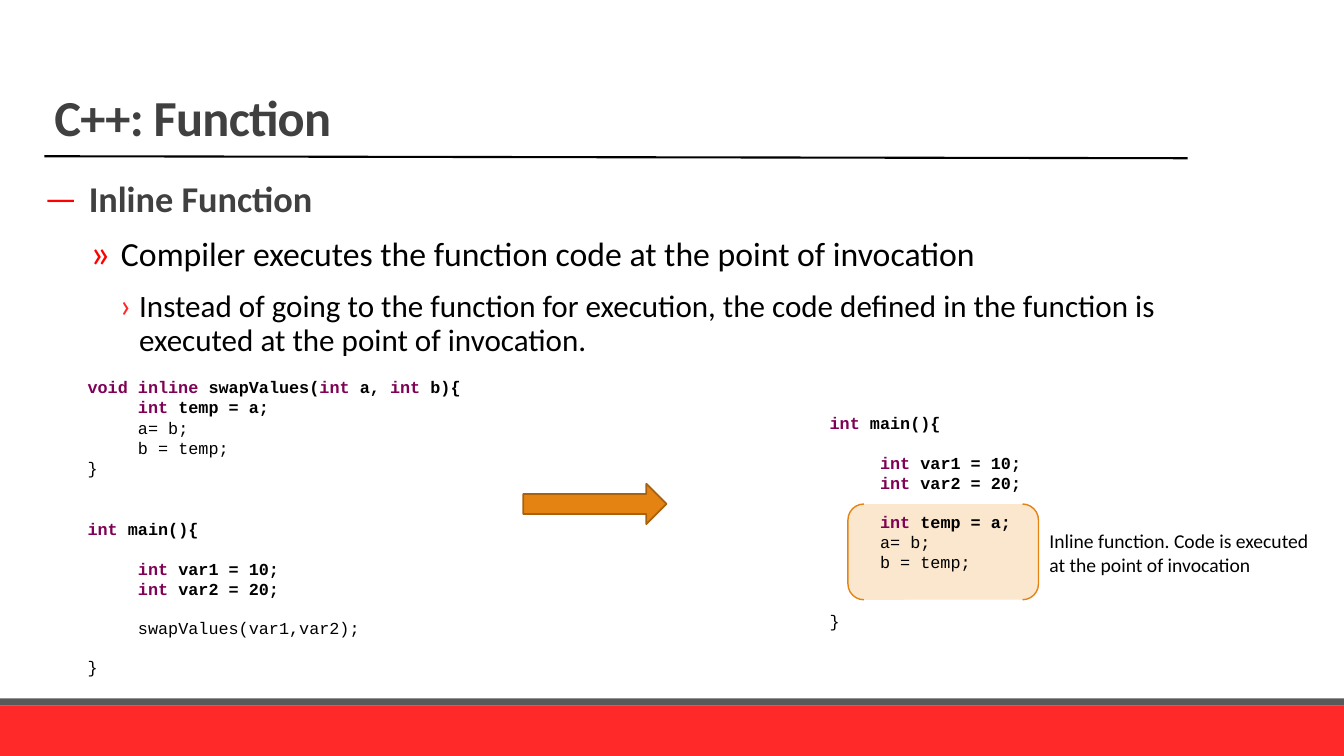
import pptx
import pptx.util
import pptx.dml.color
import pptx.enum.shapes
import pptx.enum.text
import pptx.oxml
import pptx.oxml.ns
from lxml import etree

Inches = pptx.util.Inches
Pt = pptx.util.Pt
RGBColor = pptx.dml.color.RGBColor
SHAPE = pptx.enum.shapes.MSO_SHAPE
ANCHOR = pptx.enum.text.MSO_ANCHOR
ALIGN = pptx.enum.text.PP_ALIGN
AUTO_SIZE = pptx.enum.text.MSO_AUTO_SIZE
qn = pptx.oxml.ns.qn

BLACK = RGBColor(0x00, 0x00, 0x00)
HEADING = RGBColor(0x40, 0x40, 0x40)
FOOTER_RED = RGBColor(0xFF, 0x29, 0x29)
FOOTER_GRAY = RGBColor(0x59, 0x59, 0x59)
BULLET_RED = RGBColor(0xFF, 0x00, 0x00)
KEYWORD = RGBColor(0x7F, 0x00, 0x55)
ORANGE = RGBColor(0xE4, 0x83, 0x12)
DARK_ORANGE = RGBColor(0xA9, 0x61, 0x0D)
PALE_ORANGE = RGBColor(0xFB, 0xE6, 0xCE)

CODE_LINE = Pt(13.6)  # height of one line of 12 pt code

# Text, margin, hanging indent, size, colour, bold, bullet, bullet colour, bullet percent
POINTS = [
    ("Inline Function", 0.44, 0.44, 25.9, HEADING, True, "—", BULLET_RED, 100),
    ("Compiler executes the function code at the point of invocation",
     0.76, 0.31, 24.1, BLACK, False, "»", BULLET_RED, 120),
    ("Instead of going to the function for execution, the code defined in the "
     "function is executed at the point of invocation.",
     0.94, 0.19, 22.2, BLACK, False, "›", FOOTER_RED, 110),
]

# Each code line: blank lines above it, then text with keywords between bars
SWAP_BODY = ["|int| temp = a;", "a= b;", "b = temp;"]
MAIN_START = [(0, "|int| main(){"), (1, "|int| var1 = 10;"), (0, "|int| var2 = 20;")]
SWAP_CODE = [(0, "|void inline |swapValues(|int| a, |int| b){"),
             *((0, line) for line in SWAP_BODY), (0, "}")]
CALLING_CODE = MAIN_START + [(1, "swapValues(var1,var2);"), (1, "}")]
EXPANDED_CODE = MAIN_START + [(1, SWAP_BODY[0]), (0, SWAP_BODY[1]),
                              (0, SWAP_BODY[2]), (2, "}")]


def add_run(paragraph, text, size, color, bold=False, font="Calibri"):
    run = paragraph.add_run()
    run.text = text
    run.font.name = font
    run.font.size = Pt(size)
    run.font.bold = bold
    run.font.color.rgb = color
    return run


def place(item, left, top, width, height):
    item.left, item.top = Inches(left), Inches(top)
    item.width, item.height = Inches(width), Inches(height)


def next_paragraph(frame, index):
    return frame.add_paragraph() if index else frame.paragraphs[0]


def add_block(slide, kind, box, fill, line=None, line_width=1):
    block = slide.shapes.add_shape(kind, *(Inches(length) for length in box))
    block.shadow.inherit = False
    block.fill.solid()
    block.fill.fore_color.rgb = fill
    if line is None:
        block.line.fill.background()
    else:
        block.line.color.rgb = line
        block.line.width = Pt(line_width)


def add_rule(slide, x1, y1, x2, y2):
    rule = slide.shapes.add_connector(
        pptx.enum.shapes.MSO_CONNECTOR.STRAIGHT,
        Inches(x1), Inches(y1), Inches(x2), Inches(y2))
    rule.line.color.rgb = BLACK
    rule.line.width = Pt(1.5)
    etree.SubElement(rule._element.spPr, qn("a:effectLst"))


def set_bullet(paragraph, margin, hanging, char, color, percent):
    properties = paragraph._p.get_or_add_pPr()
    properties.set("marL", str(Inches(margin)))
    properties.set("indent", str(-Inches(hanging)))
    bullet_color = etree.SubElement(properties, qn("a:buClr"))
    etree.SubElement(bullet_color, qn("a:srgbClr"), val=str(color))
    etree.SubElement(properties, qn("a:buSzPct"), val=str(percent * 1000))
    etree.SubElement(properties, qn("a:buFont"), typeface="Calibri")
    etree.SubElement(properties, qn("a:buChar"), char=char)


def fill_title(title):
    place(title, 0.44, 0, 11.33, 1.51)
    frame = title.text_frame
    frame.auto_size = AUTO_SIZE.NONE
    frame.vertical_anchor = ANCHOR.BOTTOM
    heading = frame.paragraphs[0]
    heading.alignment = ALIGN.LEFT
    heading.line_spacing = 0.85
    run = add_run(heading, "C++: Function", 36, HEADING, True)
    run.font._element.set("spc", "-50")


def fill_points(body):
    place(body, 0.44, 1.75, 11.33, 1.88)
    frame = body.text_frame
    frame.auto_size = AUTO_SIZE.NONE
    frame.margin_left = frame.margin_right = 0
    for level, (text, margin, hanging, size, color, bold, *bullet) in enumerate(POINTS):
        point = next_paragraph(frame, level)
        point.level = level
        point.line_spacing = 0.9
        point.space_before = point.space_after = Pt(6)
        set_bullet(point, margin, hanging, *bullet)
        add_run(point, text, size, color, bold)


def add_text_box(slide, box, wrap=True):
    frame = slide.shapes.add_textbox(*(Inches(length) for length in box)).text_frame
    frame.word_wrap = wrap
    return frame


def add_code(slide, box, code):
    frame = add_text_box(slide, box)
    for index, (blank_lines, text) in enumerate(code):
        line = next_paragraph(frame, index)
        line.space_before = CODE_LINE * blank_lines
        if 0 < index < len(code) - 1:
            line.level = 1
            line._p.get_or_add_pPr().set("marL", str(Inches(0.5)))
        # Odd pieces are keywords; lines that hold a keyword are bold
        for position, piece in enumerate(text.split("|")):
            if piece:
                add_run(line, piece, 12, KEYWORD if position % 2 else BLACK,
                        "|" in text, "Courier New")


def add_note(slide, box, lines):
    frame = add_text_box(slide, box, wrap=False)
    for index, text in enumerate(lines):
        add_run(next_paragraph(frame, index), text, 14, BLACK)


def main():
    deck = pptx.Presentation()
    deck.slide_width, deck.slide_height = Inches(13.33), Inches(7.5)
    slide = deck.slides.add_slide(deck.slide_layouts[1])

    # Footer bands and title rule
    add_block(slide, SHAPE.RECTANGLE, (0, 7, 13.33, 0.5), FOOTER_RED)
    add_block(slide, SHAPE.RECTANGLE, (0, 6.93, 13.33, 0.07), FOOTER_GRAY)
    add_rule(slide, 0.44, 1.55, 11.78, 1.57)

    # Title and points
    fill_title(slide.shapes.title)
    fill_points(slide.placeholders[1])

    # Code before and after inlining
    add_block(slide, SHAPE.DOUBLE_BRACKET, (8.41, 5, 1.89, 0.95), PALE_ORANGE, ORANGE)
    add_code(slide, (0.77, 5.1, 3.89, 1.72), CALLING_CODE)
    add_code(slide, (0.77, 3.69, 4.25, 1.11), SWAP_CODE)
    add_block(slide, SHAPE.RIGHT_ARROW, (5.19, 4.8, 1.42, 0.4), ORANGE, DARK_ORANGE, 1.25)
    add_code(slide, (8.13, 4.05, 2.98, 2.32), EXPANDED_CODE)
    add_note(slide, (10.31, 5.2, 2.84, 0.57),
             ["Inline function. Code is executed", "at the point of invocation"])

    deck.save("out.pptx")


if __name__ == "__main__":
    main()
